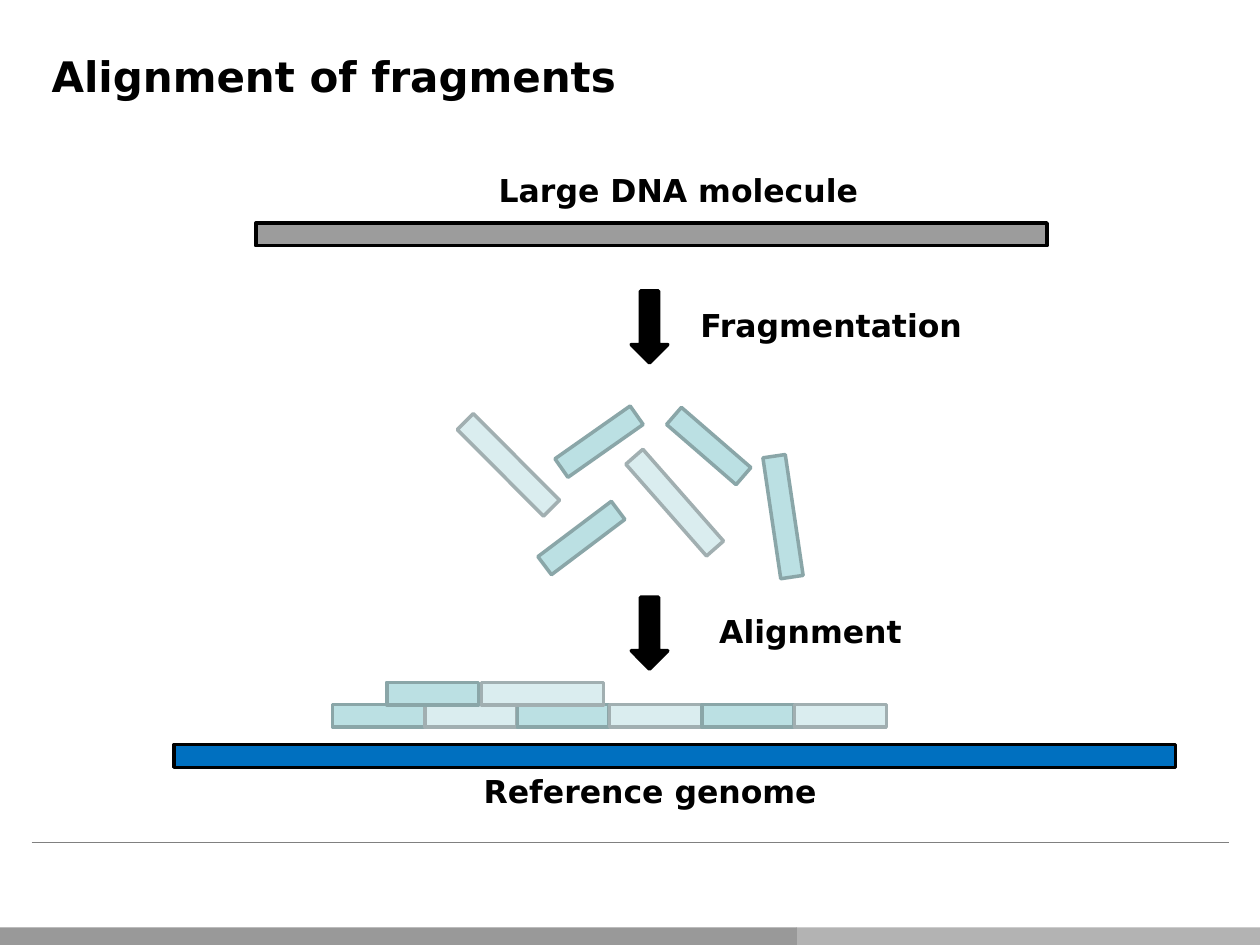
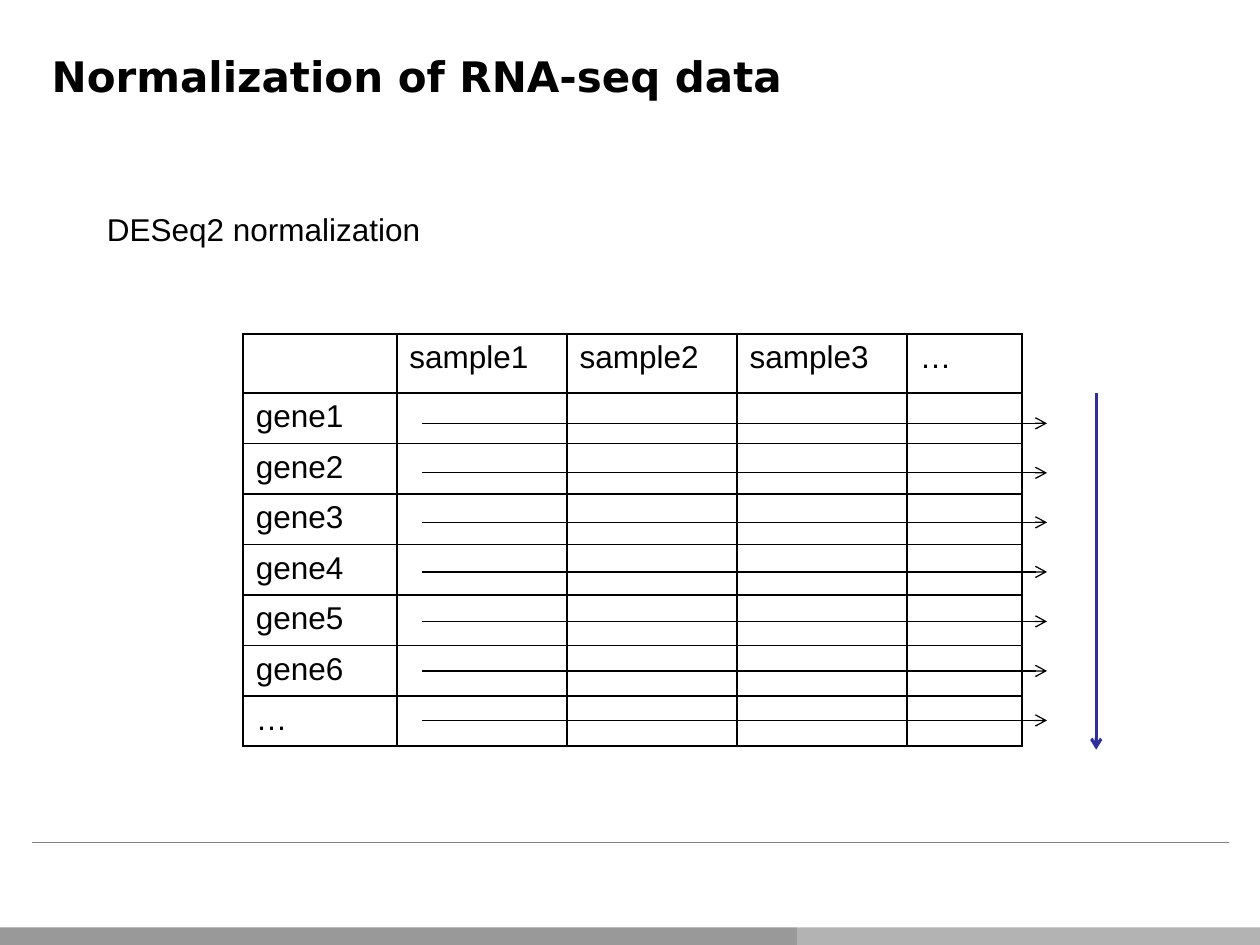
from dataclasses import dataclass
from typing import Optional

from lxml import etree
from pptx import Presentation
from pptx import util as u
from pptx.dml import color as clr
from pptx.enum import shapes, text
from pptx.oxml import ns

WIDE, HIGH = u.Inches(10), u.Inches(7.5)
COL, ROW = WIDE / 100, HIGH / 75
BOX, DOWN = shapes.MSO_SHAPE.RECTANGLE, shapes.MSO_SHAPE.DOWN_ARROW
INK = {
    "black": "000000", "white": "FFFFFF", "rule": "808080",
    "dark": "999999", "light": "B3B3B3", "grey": "9C9C9C",
    "teal": "BBE0E3", "edge": "8AA6A8", "pale": "DAEDEF", "rim": "A1AFB1",
    "blue": "0070C0", "navy": "2F2F98",
}
HEAD = {"name": "DejaVu Sans", "size": u.Pt(24), "bold": True}
LABEL = {"name": "DejaVu Sans", "size": u.Pt(18), "bold": True}
PLAIN = {"name": "Arial", "size": u.Pt(18), "bold": False}


@dataclass
class Bar:
    left: float
    top: float
    width: float
    height: float
    fill: str
    edge: Optional[str] = "black"
    turn: float = 0
    kind: int = BOX


@dataclass
class Line:
    start: tuple
    end: tuple
    tint: str
    size: float
    arrow: bool = True


@dataclass
class Note:
    words: str
    left: float
    top: float
    width: float
    style: dict
    wrap: bool = False


BANDS = [
    Bar(63.2, 73.6, 36.8, 1.4, "light", None),
    Bar(0, 73.6, 63.25, 1.4, "dark", None),
]
RULE = Line((2.5, 66.9), (97.5, 66.9), "rule", 0.5, False)

THICK, SHORT, LONG = 1.8, 7.3, 9.7
STEP = 7.33


def teal(left: float, top: float, width: float = SHORT, turn: float = 0) -> Bar:
    return Bar(left, top, width, THICK, "teal", "edge", turn)


def pale(left: float, top: float, width: float = LONG, turn: float = 0) -> Bar:
    return Bar(left, top, width, THICK, "pale", "rim", turn)


LOOSE = [
    pale(35.5, 36, turn=45.1),
    teal(43.9, 34.15, turn=324.9),
    teal(52.6, 34.5, turn=40.9),
    teal(42.5, 41.8, turn=323),
    pale(48.7, 39, turn=48.7),
    teal(57.3, 40.1, LONG, 261.6),
]
TILED = [(pale if i % 2 else teal)(26.4 + i * STEP, 55.92, SHORT) for i in range(6)]
STACK = [teal(30.7, 54.15), pale(38.2, 54.15)]
MOLE = Bar(20.3, 17.7, 62.8, THICK, "grey")
GENOME = Bar(13.8, 59.1, 79.5, THICK, "blue")
STAGES = [Bar(50.1, top, 2.9, 5.7, "black", kind=DOWN) for top in (23.1, 47.4)]
LABELS = [
    Note("Large DNA molecule", 38.6, 13.1, 30.7, LABEL),
    Note("Fragmentation", 54.6, 23.8, 22.9, LABEL),
    Note("Alignment", 56.1, 48.1, 16.6, LABEL),
    Note("Reference genome", 37.4, 60.8, 28.6, LABEL),
]

HEADS = ["", "sample1", "sample2", "sample3", "…"]
GENES = [f"gene{i}" for i in range(1, 7)] + ["…"]
SPANS = [12.2, 13.5, 13.5, 13.5, 9.1]
TALLS = [4.7] + [4] * len(GENES)
GAP = 3.93
SWEEPS = [
    Line((33.5, 33.6 + i * GAP), (83.1, 33.6 + i * GAP), "black", 0.75)
    for i in range(len(GENES))
]
SCAN = Line((87, 31.2), (87, 59.5), "navy", 1.75)


def tint(name: str) -> clr.RGBColor:
    return clr.RGBColor.from_string(INK[name])


def style(font, values: dict) -> None:
    for key, value in values.items():
        setattr(font, key, value)
    font.color.rgb = tint("black")


def place(cols: float, rows: float) -> tuple:
    return round(cols * COL), round(rows * ROW)


def draw(slide, bar: Bar) -> None:
    shape = slide.shapes.add_shape(
        bar.kind, *place(bar.left, bar.top), *place(bar.width, bar.height))
    shape.shadow.inherit = False
    shape.rotation = bar.turn
    shape.fill.solid()
    shape.fill.fore_color.rgb = tint(bar.fill)
    if bar.edge:
        shape.line.color.rgb = tint(bar.edge)
        shape.line.width = u.Pt(2)
    else:
        shape.line.fill.background()


def link(slide, line: Line) -> None:
    wire = slide.shapes.add_connector(
        shapes.MSO_CONNECTOR.STRAIGHT, *place(*line.start), *place(*line.end))
    wire.line.color.rgb = tint(line.tint)
    wire.line.width = u.Pt(line.size)
    if line.arrow:
        etree.SubElement(wire.line._get_or_add_ln(), ns.qn("a:tailEnd"), type="arrow")
    etree.SubElement(wire._element.spPr, ns.qn("a:effectLst"))


def write(slide, note: Note) -> None:
    box = slide.shapes.add_textbox(*place(note.left, note.top), *place(note.width, 4))
    frame = box.text_frame
    frame.text = note.words
    frame.word_wrap = note.wrap
    frame.auto_size = text.MSO_AUTO_SIZE.SHAPE_TO_FIT_TEXT
    style(frame.paragraphs[0].font, note.style)


def start(deck, title: str):
    slide = deck.slides.add_slide(deck.slide_layouts[5])
    slide.background.fill.solid()
    slide.background.fill.fore_color.rgb = tint("white")
    for band in BANDS:
        draw(slide, band)
    link(slide, RULE)
    head = slide.shapes.title
    head.left, head.top = place(3.1, 3.5)
    head.width, head.height = place(90.2, 9.8)
    frame = head.text_frame
    frame.text = title
    frame.auto_size = text.MSO_AUTO_SIZE.NONE
    frame.vertical_anchor = text.MSO_ANCHOR.TOP
    frame.paragraphs[0].alignment = text.PP_ALIGN.LEFT
    style(frame.paragraphs[0].font, HEAD)
    return slide


def frame(cell) -> None:
    props = cell._tc.get_or_add_tcPr()
    for side in ("lnL", "lnR", "lnT", "lnB"):
        edge = etree.SubElement(props, ns.qn(f"a:{side}"), w=str(u.Pt(1)))
        fill = etree.SubElement(edge, ns.qn("a:solidFill"))
        etree.SubElement(fill, ns.qn("a:srgbClr"), val=INK["black"])
    cell.fill.background()


def tabulate(slide) -> None:
    rows = [HEADS] + [[gene] + [""] * (len(HEADS) - 1) for gene in GENES]
    table = slide.shapes.add_table(
        len(rows), len(HEADS), *place(19.3, 26.5),
        *place(sum(SPANS), sum(TALLS))).table
    table.first_row = table.horz_banding = False
    for col, span in zip(table.columns, SPANS):
        col.width = round(span * COL)
    for row, tall, words in zip(table.rows, TALLS, rows):
        row.height = round(tall * ROW)
        for cell, word in zip(row.cells, words):
            cell.text = word
            style(cell.text_frame.paragraphs[0].font, PLAIN)
            frame(cell)


def align(deck) -> None:
    slide = start(deck, "Alignment of fragments")
    for bar in [MOLE, *LOOSE, *TILED, *STAGES, GENOME, *STACK]:
        draw(slide, bar)
    for note in LABELS:
        write(slide, note)


def scale(deck) -> None:
    slide = start(deck, "Normalization of RNA-seq data")
    write(slide, Note("DESeq2 normalization", 7.5, 16.2, 60.6, PLAIN, True))
    tabulate(slide)
    for line in [*SWEEPS, SCAN]:
        link(slide, line)


def main() -> None:
    deck = Presentation()
    deck.slide_width, deck.slide_height = WIDE, HIGH
    align(deck)
    scale(deck)
    deck.save("out.pptx")


if __name__ == "__main__":
    main()
